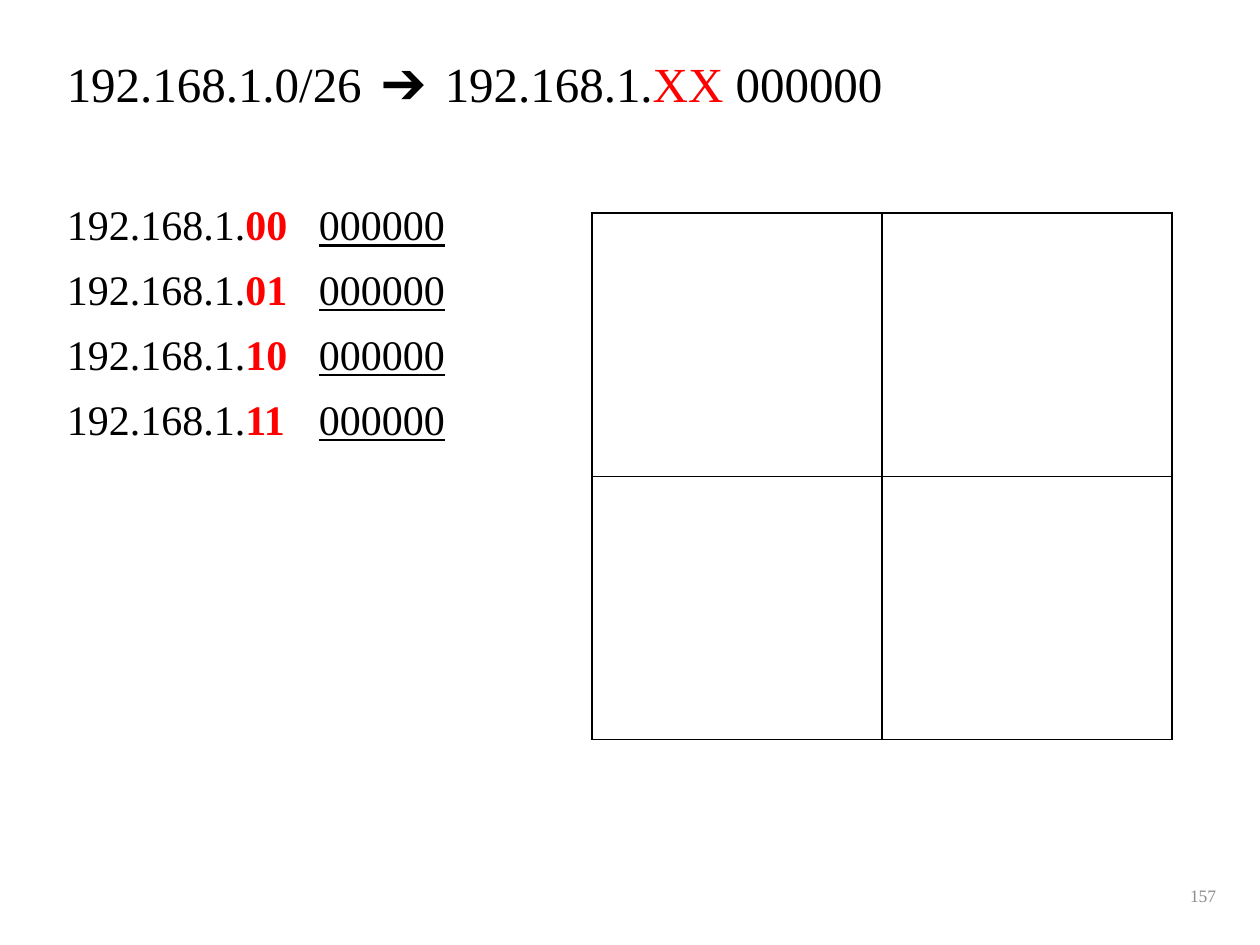
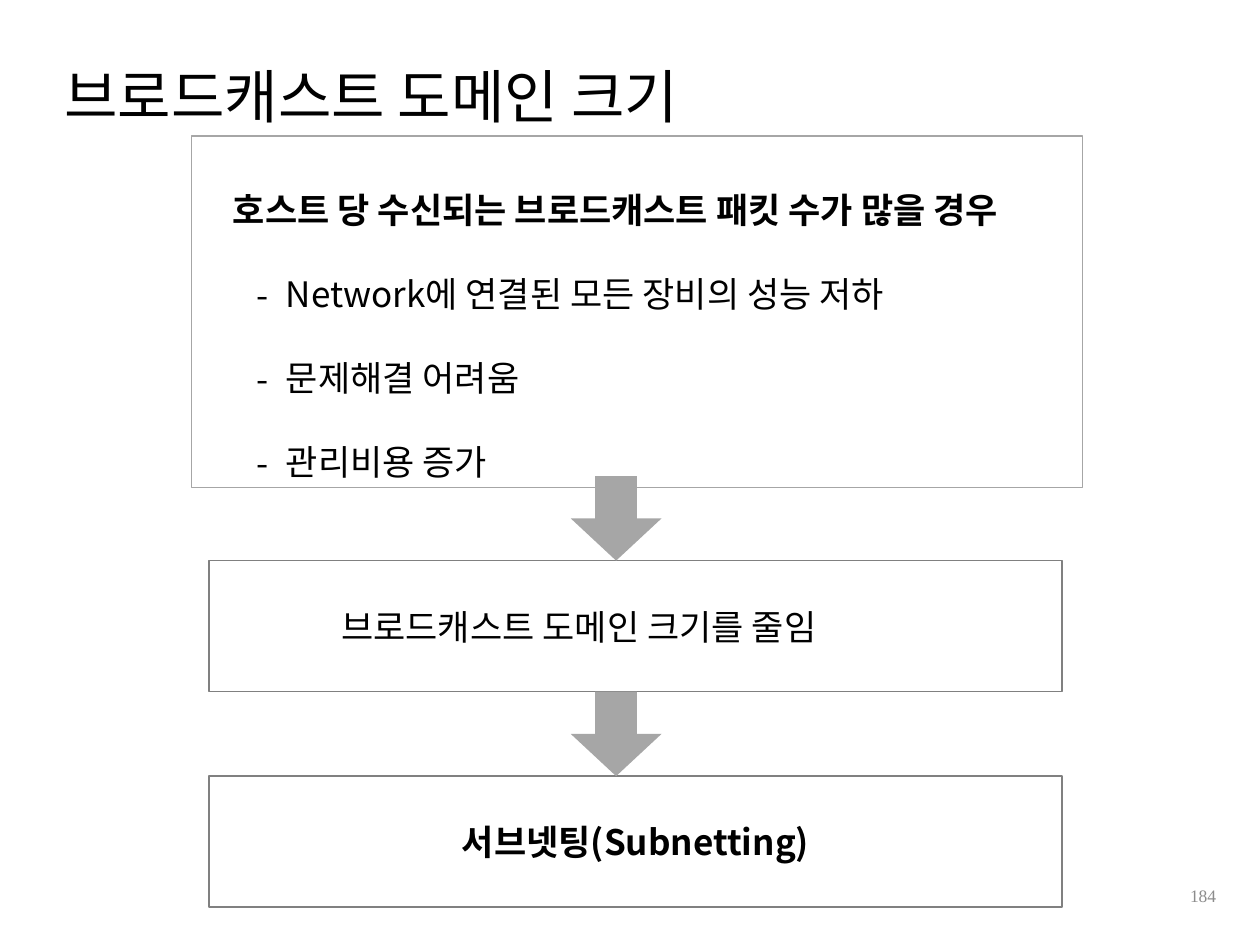
from lxml.etree import SubElement
from pptx import Presentation
from pptx.dml.color import RGBColor
from pptx.enum.shapes import MSO_SHAPE as SHAPE
from pptx.enum.text import MSO_ANCHOR as ANCHOR, MSO_AUTO_SIZE as AUTO_SIZE, PP_ALIGN as ALIGN
from pptx.oxml.ns import qn
from pptx.util import Inches, Pt

SERIF = "Times New Roman"
KOREAN = "Noto Sans CJK KR"
BLACK, RED = "000000", "FF0000"
ARROW_GREY, BOX_GREY, NUMBER_GREY = "A6A6A6", "808080", "8C8C8C"


def color(hex_value):
    return RGBColor.from_string(hex_value)


def add_run(paragraph, text, size, font, fill=BLACK, bold=False, underline=False):
    run = paragraph.add_run()
    run.text = text
    run.font.size = Pt(size)
    run.font.name = font
    run.font.bold = bold
    run.font.underline = underline
    run.font.color.rgb = color(fill)
    SubElement(run._r.get_or_add_rPr(), qn("a:ea"), typeface=font)


prs = Presentation()
prs.slide_width, prs.slide_height = Inches(10), Inches(7.5)

subnets = prs.slides.add_slide(prs.slide_layouts[1])
unused_title = subnets.shapes.title._element
unused_title.getparent().remove(unused_title)

addresses = subnets.placeholders[1]
addresses.left, addresses.top = Inches(0.43), Inches(0.43)
addresses.width, addresses.height = Inches(8.62), Inches(4.76)
addresses.text_frame.auto_size = AUTO_SIZE.NONE

address_lines = [
    ([2.51, 3.16], 28, 0, [("192.168.1.0/26\t➔\t192.168.1.", BLACK, False, False),
                           ("XX", RED, False, False),
                           (" 000000", BLACK, False, False)])
]
for index, subnet_bits in enumerate(["00", "01", "10", "11"]):
    gap = 11.2 if index else 52
    address_lines.append(([1.91], 24, gap, [("192.168.1.", BLACK, False, False),
                                            (subnet_bits + "\t", RED, True, False),
                                            ("000000", BLACK, False, True)]))

for index, (stops, size, gap, parts) in enumerate(address_lines):
    line = addresses.text_frame.add_paragraph() if index else addresses.text_frame.paragraphs[0]
    properties = line._p.get_or_add_pPr()
    properties.set("marL", "0")
    properties.set("indent", "0")
    SubElement(properties, qn("a:buNone"))
    tabs = SubElement(properties, qn("a:tabLst"))
    for stop in stops:
        SubElement(tabs, qn("a:tab"), pos=str(Inches(stop)), algn="l")
    line.line_spacing = 0.9
    line.space_before = Pt(gap)
    for text, fill, bold, underline in parts:
        add_run(line, text, size, SERIF, fill, bold, underline)

quarters = subnets.shapes.add_table(2, 2, Inches(4.7), Inches(1.69), Inches(4.6), Inches(4.18)).table
quarters.first_row = quarters.horz_banding = False
for column in quarters.columns:
    column.width = Inches(2.3)
for row in quarters.rows:
    row.height = Inches(2.09)
for cell in quarters.iter_cells():
    cell_properties = cell._tc.get_or_add_tcPr()
    for side in ("lnL", "lnR", "lnT", "lnB"):
        border = SubElement(cell_properties, qn(f"a:{side}"), w=str(Pt(1)))
        SubElement(SubElement(border, qn("a:solidFill")), qn("a:srgbClr"), val=BLACK)
    cell.fill.background()

broadcast = prs.slides.add_slide(prs.slide_layouts[5])
heading = broadcast.shapes.title
heading.left, heading.top = Inches(0.41), Inches(0.36)
heading.width, heading.height = Inches(8.62), Inches(0.87)
heading.text_frame.auto_size = AUTO_SIZE.NONE
heading.text_frame.vertical_anchor = ANCHOR.MIDDLE
heading_line = heading.text_frame.paragraphs[0]
heading_line.alignment = ALIGN.LEFT
heading_line.line_spacing = 0.9
add_run(heading_line, "브로드캐스트 도메인 크기", 33.2, KOREAN)

steps = []
for left, top, width, height, outline in [
    (1.52, 1.08, 7.07, 2.79, ARROW_GREY),
    (1.66, 4.45, 6.77, 1.04, BOX_GREY),
    (1.66, 6.16, 6.77, 1.04, BOX_GREY),
]:
    step = broadcast.shapes.add_shape(SHAPE.RECTANGLE, Inches(left), Inches(top), Inches(width), Inches(height))
    step.shadow.inherit = False
    step.fill.background()
    step.line.color.rgb = color(outline)
    step.line.width = Pt(0.75)
    step.text_frame.word_wrap = True
    step.text_frame.vertical_anchor = ANCHOR.MIDDLE
    steps.append(step.text_frame)
problem, remedy, subnetting = steps

problem.vertical_anchor = ANCHOR.TOP
problem.margin_top = Inches(0.08)
for index, text in enumerate([
    "호스트 당 수신되는 브로드캐스트 패킷 수가 많을 경우",
    "Network에 연결된 모든 장비의 성능 저하",
    "문제해결 어려움",
    "관리비용 증가",
]):
    line = problem.add_paragraph() if index else problem.paragraphs[0]
    properties = line._p.get_or_add_pPr()
    properties.set("marL", str(Inches(0.65 if index else 0.23)))
    if index:
        properties.set("indent", str(Inches(-0.23)))
        SubElement(properties, qn("a:buFont"), typeface=KOREAN)
        SubElement(properties, qn("a:buChar"), char="-")
    line.alignment = ALIGN.LEFT
    line.line_spacing = Pt(48)
    add_run(line, text, 20, KOREAN, bold=index == 0)

remedy_line = remedy.paragraphs[0]
remedy_line._p.get_or_add_pPr().set("marL", str(Inches(0.95)))
remedy_line.alignment = ALIGN.LEFT
add_run(remedy_line, "브로드캐스트 도메인 크기를 줄임", 20, KOREAN)

subnetting.paragraphs[0].alignment = ALIGN.CENTER
add_run(subnetting.paragraphs[0], "서브넷팅(Subnetting)", 20, KOREAN, bold=True)

for top in (3.78, 5.49):
    arrow = broadcast.shapes.add_shape(SHAPE.DOWN_ARROW, Inches(4.53), Inches(top), Inches(0.72), Inches(0.67))
    arrow.shadow.inherit = False
    arrow.adjustments[0] = 0.46
    arrow.adjustments[1] = 0.5
    arrow.fill.solid()
    arrow.fill.fore_color.rgb = color(ARROW_GREY)
    arrow.line.fill.background()

for slide, number in ((subnets, "157"), (broadcast, "184")):
    page = slide.shapes.add_textbox(Inches(7.5), Inches(6.91), Inches(2.25), Inches(0.4)).text_frame
    page.word_wrap = True
    page.vertical_anchor = ANCHOR.MIDDLE
    page.paragraphs[0].alignment = ALIGN.RIGHT
    add_run(page.paragraphs[0], number, 10, SERIF, NUMBER_GREY)

prs.save("out.pptx")
